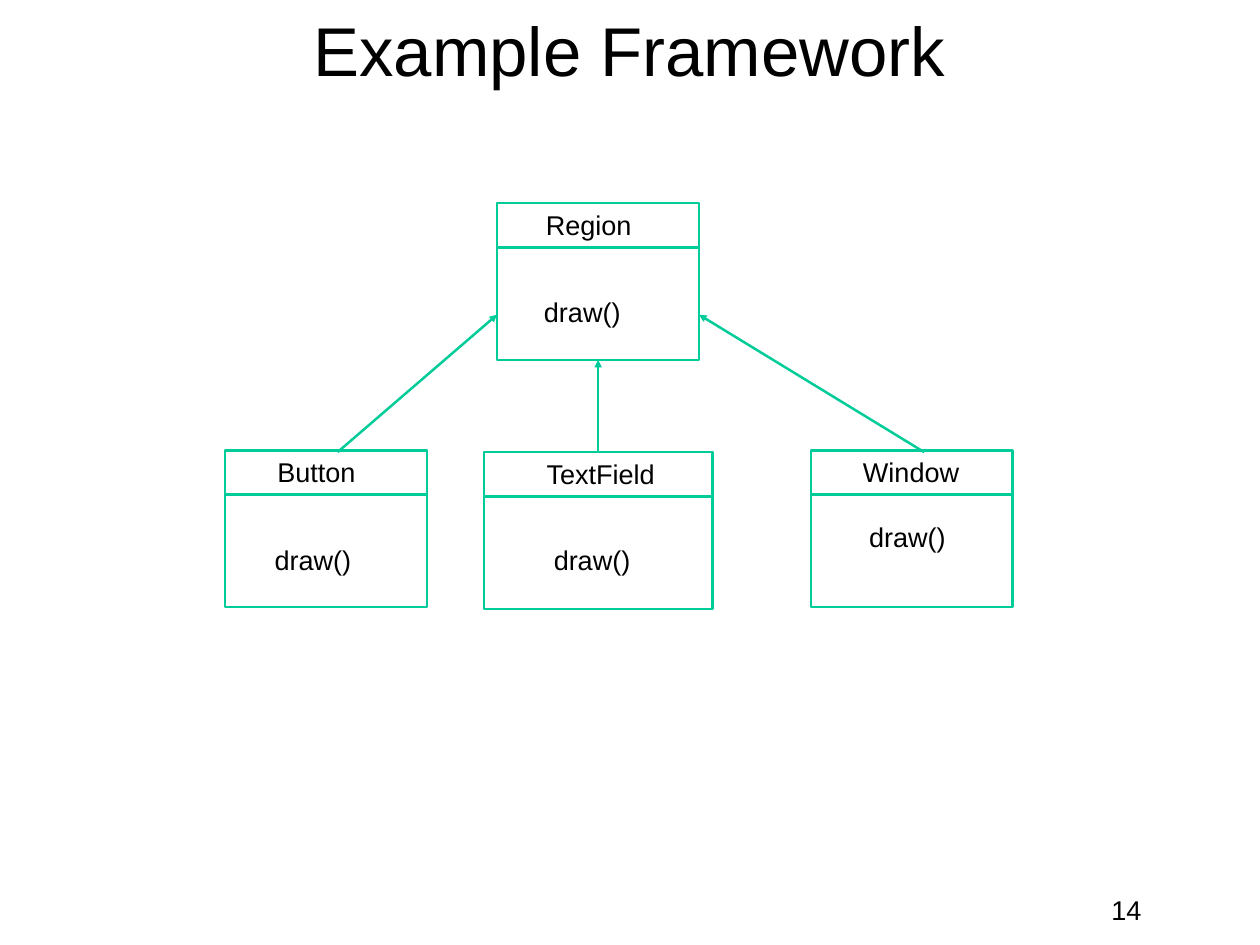
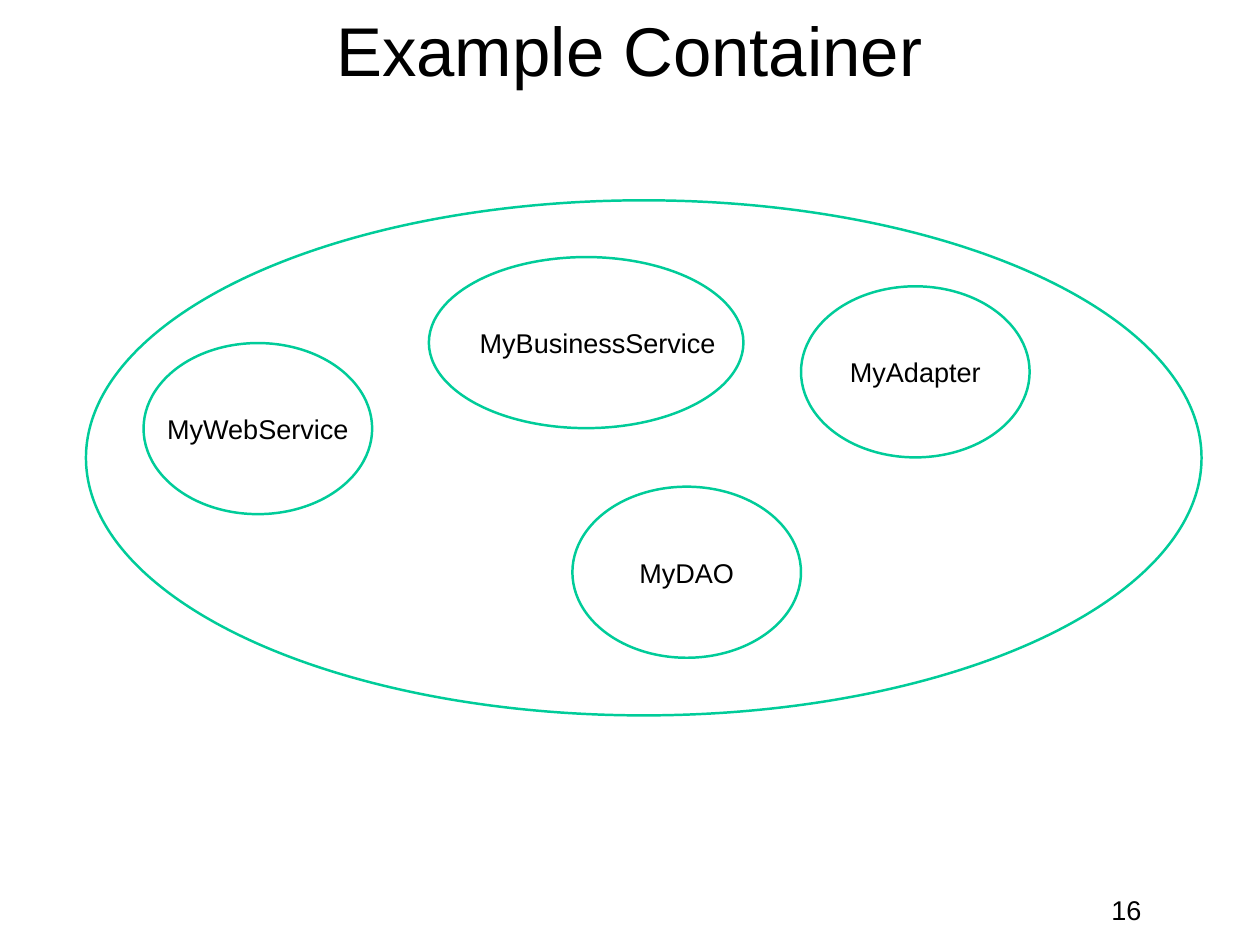
from lxml.etree import SubElement
from pptx import Presentation
from pptx.dml.color import RGBColor
from pptx.enum.shapes import MSO_CONNECTOR, MSO_SHAPE
from pptx.enum.text import MSO_ANCHOR, MSO_AUTO_SIZE, PP_ALIGN
from pptx.oxml.ns import qn
from pptx.util import Pt

# Shared style: 100 px to the inch
PX = 9144
WIDTH, HEIGHT = 1422, 1066
BLACK = RGBColor(0x00, 0x00, 0x00)
WHITE = RGBColor(0xFF, 0xFF, 0xFF)
GREEN = RGBColor(0x00, 0xCC, 0x99)
TITLE_FONT = {"name": "Arial", "size": Pt(56)}
BODY_FONT = {"name": "Arial", "size": Pt(22)}
TITLE_BOX = (71, 12, 1279, 237)
NUMBER_BOX = (1229, 1006, 69, 35)
TIGHT = 0.93
TOP, BOTTOM = 0, 2


class Deck:
    def __init__(self):
        self.prs = Presentation()
        self.prs.slide_width = WIDTH * PX
        self.prs.slide_height = HEIGHT * PX
        self.s = None

    def set_text(self, sp, text, font=BODY_FONT, align=PP_ALIGN.LEFT, spacing=1.0,
                 insets=(6, 6, 6, 6), anchor=MSO_ANCHOR.TOP, wrap=True):
        tf = sp.text_frame
        left, top, right, bottom = (n * PX for n in insets)
        frame = {"word_wrap": wrap, "auto_size": MSO_AUTO_SIZE.NONE,
                 "vertical_anchor": anchor, "margin_left": left, "margin_top": top,
                 "margin_right": right, "margin_bottom": bottom}
        for name, value in frame.items():
            setattr(tf, name, value)
        p = tf.paragraphs[0]
        p.alignment, p.line_spacing = align, spacing
        r = p.add_run()
        r.text = text
        for name, value in font.items():
            setattr(r.font, name, value)
        r.font.color.rgb = BLACK

    def slide(self, title, number):
        self.s = self.prs.slides.add_slide(self.prs.slide_layouts[5])
        sp = self.s.shapes.title
        sp.left, sp.top, sp.width, sp.height = (n * PX for n in TITLE_BOX)
        insets = (10, 5, 10, 5)
        self.set_text(sp, title, TITLE_FONT, PP_ALIGN.CENTER, TIGHT, insets)
        self.label(NUMBER_BOX, number, align=PP_ALIGN.RIGHT, spacing=TIGHT, insets=insets)

    def label(self, box, text, **style):
        sp = self.s.shapes.add_textbox(*(n * PX for n in box))
        self.set_text(sp, text, **style)

    def outline(self, kind, box):
        sp = self.s.shapes.add_shape(kind, *(n * PX for n in box))
        sp.shadow.inherit = False
        sp.fill.solid()
        sp.fill.fore_color.rgb = WHITE
        sp.line.color.rgb = GREEN
        sp.line.width = Pt(2)
        return sp

    def oval(self, box, text, shift=0):
        sp = self.outline(MSO_SHAPE.OVAL, box)
        self.set_text(sp, text, align=PP_ALIGN.CENTER, insets=(2 * shift, 0, 0, 0),
                      anchor=MSO_ANCHOR.MIDDLE, wrap=False)

    def line(self, start, end, arrow=False):
        c = self.s.shapes.add_connector(MSO_CONNECTOR.STRAIGHT,
                                        *(n * PX for n in start + end))
        c.line.color.rgb = GREEN
        c.line.width = Pt(2)
        props = c._element.spPr
        if arrow:
            SubElement(props.find(qn("a:ln")), qn("a:tailEnd"), type="triangle")
        SubElement(props, qn("a:effectLst"))
        return c

    def class_box(self, box, name, name_left, method_at):
        left, top, width, _ = box
        sp = self.outline(MSO_SHAPE.RECTANGLE, box)
        self.line((left, top + 50), (left + width, top + 50))
        self.label((name_left, top, 160, 50), name)
        self.label((*method_at, 110, 47), "draw()", spacing=TIGHT)
        return sp


def framework(deck):
    deck.slide("Example Framework", "14")
    # Classes: box, name, left of the name, place of the method
    classes = [
        ((915, 508, 228, 177), "Window", 968, (975, 584)),
        ((561, 229, 228, 177), "Region", 610, (608, 330)),
        ((254, 508, 228, 177), "Button", 307, (304, 610)),
        ((546, 510, 258, 177), "TextField", 611, (619, 610)),
    ]
    boxes = {row[1]: deck.class_box(*row) for row in classes}
    # Inheritance arrows
    deck.line((381, 510), (561, 355), arrow=True)
    deck.line((1043, 510), (789, 355), arrow=True)
    c = deck.line((675, 510), (675, 406), arrow=True)
    c.begin_connect(boxes["TextField"], TOP)
    c.end_connect(boxes["Region"], BOTTOM)


def container(deck):
    deck.slide("Example Container", "16")
    deck.outline(MSO_SHAPE.OVAL, (97, 226, 1259, 581))
    # Components: left, top, width, name, shift of the name
    components = [
        (162, 387, 258, "MyWebService", 0),
        (484, 290, 355, "MyBusinessService", 13),
        (646, 549, 258, "MyDAO", 0),
        (904, 323, 258, "MyAdapter", 0),
    ]
    for left, top, width, name, shift in components:
        deck.oval((left, top, width, 193), name, shift)


def main():
    deck = Deck()
    framework(deck)
    container(deck)
    deck.prs.save("out.pptx")


if __name__ == "__main__":
    main()
